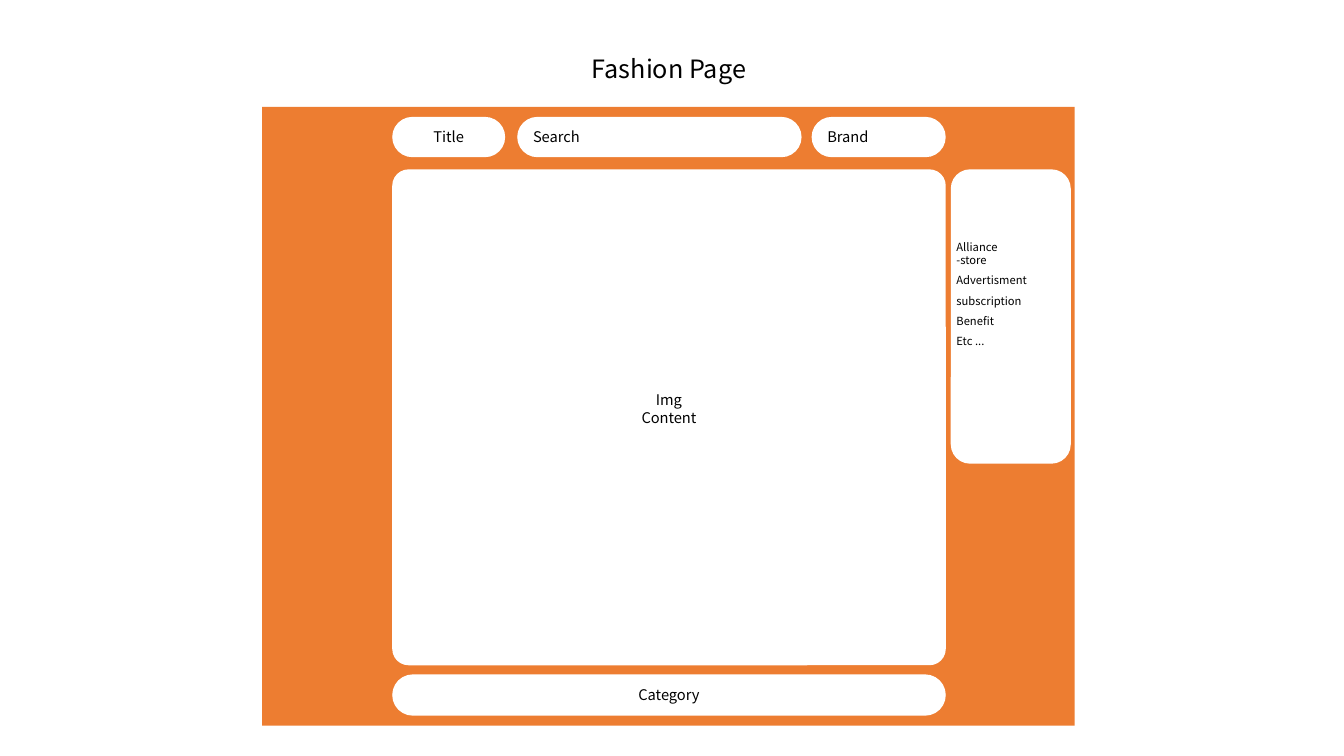
from pptx import Presentation
from pptx.dml.color import RGBColor
from pptx.enum.shapes import MSO_SHAPE
from pptx.enum.text import MSO_ANCHOR, PP_ALIGN
from pptx.util import Inches, Pt

RECTANGLE = MSO_SHAPE.RECTANGLE
ROUNDED = MSO_SHAPE.ROUNDED_RECTANGLE
MIDDLE = MSO_ANCHOR.MIDDLE
LEFT, CENTER = PP_ALIGN.LEFT, PP_ALIGN.CENTER
FONT = "Noto Sans CJK KR"
COLORS = {"page": "FFFFFF", "frame": "ED7D31", "panel": "FFFFFF", "text": "000000"}


def write_lines(frame, lines, size, align):
    for index, line in enumerate(lines):
        para = frame.paragraphs[0] if index == 0 else frame.add_paragraph()
        para.text = line
        para.alignment = align
        para.font.name = FONT
        para.font.size = Pt(size)
        para.font.color.rgb = RGBColor.from_string(COLORS["text"])


def add_block(page, kind, left, top, width, height, color):
    box = page.shapes.add_shape(
        kind, Inches(left), Inches(top), Inches(width), Inches(height))
    box.shadow.inherit = False
    box.fill.solid()
    box.fill.fore_color.rgb = RGBColor.from_string(COLORS[color])
    box.line.fill.background()
    return box


def add_panel(page, left, top, width, height, lines, radius=0.5, size=10.5, align=CENTER):
    box = add_block(page, ROUNDED, left, top, width, height, "panel")
    box.adjustments[0] = radius
    box.text_frame.word_wrap = True
    box.text_frame.vertical_anchor = MIDDLE
    write_lines(box.text_frame, lines, size, align)
    return box.text_frame


def add_heading(page, left, top, width, height):
    box = page.shapes.add_textbox(
        Inches(left), Inches(top), Inches(width), Inches(height))
    box.text_frame.word_wrap = True
    write_lines(box.text_frame, ["Fashion Page"], 18, CENTER)


def add_header(page, left, top, height):
    for offset, width, label, align in (
        (0, 1.12, "Title", CENTER),
        (1.24, 2.82, "Search", LEFT),
        (4.16, 1.33, "Brand", LEFT),
    ):
        add_panel(page, left + offset, top, width, height, [label], align=align)


def add_content(page, left, top, width, height):
    frame = add_panel(page, left, top, width, height, ["Img", "Content"], radius=0.033)
    frame.margin_bottom = Inches(0.22)


def add_sidebar(page, left, top, width, height):
    lines = ["Alliance", "-store", "Advertisment", "subscription", "Benefit", "Etc ..."]
    frame = add_panel(page, left, top, width, height, lines, 0.161, 8, LEFT)
    frame.word_wrap = False
    frame.margin_left = frame.margin_right = frame.margin_top = 0
    frame.margin_bottom = Inches(0.45)
    for para in frame.paragraphs[2:]:
        para.line_spacing = 1.5


def add_wireframe(page, left, top, width, height):
    add_block(page, RECTANGLE, left, top, width, height, "frame")
    column, column_width = left + 1.29, 5.49
    body = top + 0.62
    add_header(page, column, top + 0.1, 0.4)
    add_content(page, column, body, column_width, 4.92)
    add_panel(page, column, top + 5.63, column_width, 0.41, ["Category"])
    add_sidebar(page, column + column_width + 0.05, body, 1.19, 2.92)


def main():
    deck = Presentation()
    deck.slide_width, deck.slide_height = Inches(13.33), Inches(7.5)
    page = deck.slides.add_slide(deck.slide_layouts[6])
    page.background.fill.solid()
    page.background.fill.fore_color.rgb = RGBColor.from_string(COLORS["page"])
    add_heading(page, 5.05, 0.48, 3.17, 0.4)
    add_wireframe(page, 2.6, 1.06, 8.06, 6.14)
    deck.save("out.pptx")


if __name__ == "__main__":
    main()
